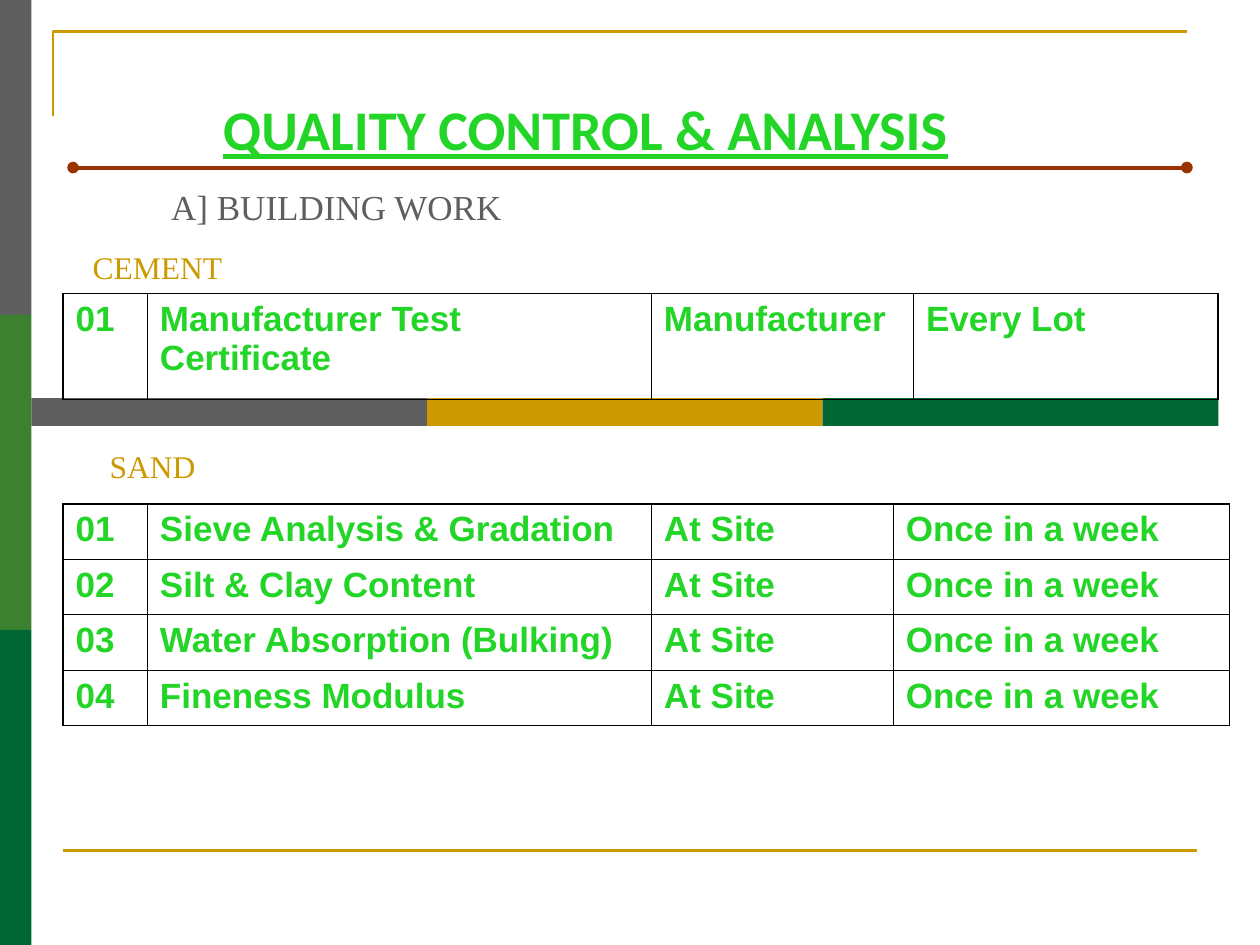
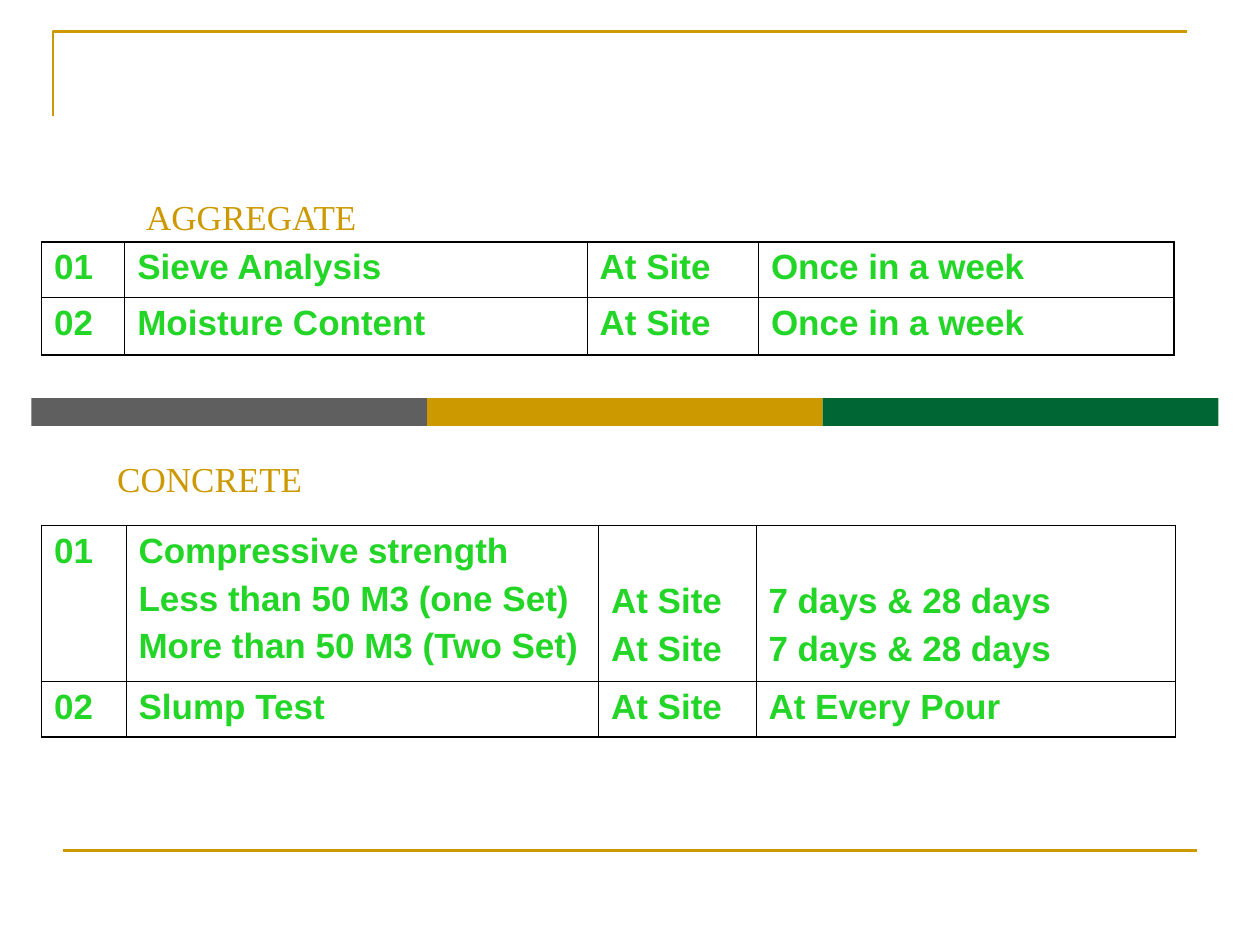
from pptx import Presentation
from pptx.dml.color import RGBColor
from pptx.enum.shapes import MSO_CONNECTOR, MSO_SHAPE
from pptx.enum.text import MSO_ANCHOR, PP_ALIGN
from pptx.oxml import parse_xml
from pptx.oxml.ns import nsdecls, qn
from pptx.util import Inches, Pt

RECTANGLE = MSO_SHAPE.RECTANGLE
STRAIGHT = MSO_CONNECTOR.STRAIGHT
TOP = MSO_ANCHOR.TOP
LEFT, CENTER = PP_ALIGN.LEFT, PP_ALIGN.CENTER

GOLD = "CC9900"
GRAY = "5F5F5F"
DARK_GREEN = "006633"
MID_GREEN = "3B812F"
BRIGHT_GREEN = "23D527"
RUST = "993300"
BLACK = "000000"

SERIF, SANS, TITLE_FONT = "Times New Roman", "Arial", "Calibri"
OUTER_BORDER, INNER_BORDER = 1.08, 0.45
CELL_TOP = 0.05
SKIPPED_LINE = 0.4


def rgb(hex_color):
    return RGBColor.from_string(hex_color)


def style_text(paragraph, font_name, size, color, bold=False, underline=False):
    for run in paragraph.runs:
        font = run.font
        font.name, font.size = font_name, Pt(size)
        font.bold, font.underline = bold, underline
        font.color.rgb = rgb(color)


def add_bar(slide, left, top, width, height, color):
    bar = slide.shapes.add_shape(
        RECTANGLE, Inches(left), Inches(top), Inches(width), Inches(height))
    bar.shadow.inherit = False
    bar.fill.solid()
    bar.fill.fore_color.rgb = rgb(color)
    bar.line.fill.background()


def add_rule(slide, start, end, y, color, weight, oval_ends=False):
    rule = slide.shapes.add_connector(
        STRAIGHT, Inches(start), Inches(y), Inches(end), Inches(y))
    rule.line.color.rgb = rgb(color)
    rule.line.width = Pt(weight)
    properties = rule._element.spPr
    if oval_ends:
        for tag in ("headEnd", "tailEnd"):
            properties.find(qn("a:ln")).append(
                parse_xml(f'<a:{tag} {nsdecls("a")} type="oval"/>'))
    properties.append(parse_xml(f'<a:effectLst {nsdecls("a")}/>'))


def add_corner(slide):
    builder = slide.shapes.build_freeform(Inches(0.42), Inches(0.92))
    builder.add_line_segments(
        [(Inches(0.42), Inches(0.25)), (Inches(9.42), Inches(0.25))], close=False)
    corner = builder.convert_to_shape()
    corner.shadow.inherit = False
    corner.fill.background()
    corner.line.color.rgb = rgb(GOLD)
    corner.line.width = Pt(1.5)


def add_text(slide, text, left, top, width, height, alignment, wrap):
    box = slide.shapes.add_textbox(
        Inches(left), Inches(top), Inches(width), Inches(height))
    frame = box.text_frame
    frame.word_wrap = wrap
    frame.vertical_anchor = TOP
    frame.text = text
    paragraph = frame.paragraphs[0]
    paragraph.alignment = alignment
    return paragraph


def add_title(slide, text):
    title = add_text(slide, text, 1.67, 0.33, 6.58, 0.75, LEFT, True)
    title.line_spacing = 1.7
    title.space_before = Pt(8)
    style_text(title, TITLE_FONT, 32, BRIGHT_GREEN, bold=True, underline=True)


def add_heading(slide, text, left, top, width, size, color=GOLD):
    heading = add_text(slide, text, left, top, width, 0.25, CENTER, False)
    style_text(heading, SERIF, size, color)


def set_borders(cell, weights):
    properties = cell._tc.get_or_add_tcPr()
    for position, (side, weight) in enumerate(weights.items()):
        properties.insert(position, parse_xml(
            f'<a:ln{side} {nsdecls("a")} w="{Pt(weight)}">'
            f'<a:solidFill><a:srgbClr val="{BLACK}"/></a:solidFill></a:ln{side}>'))


def fill_cell(cell, text):
    cell.fill.background()
    cell.vertical_anchor = TOP
    cell.text_frame.text = text
    for paragraph in cell.text_frame.paragraphs:
        paragraph.space_before = Pt(5)
        style_text(paragraph, SANS, 20, BRIGHT_GREEN, bold=True)


def add_test_table(slide, left, top, widths, heights, tests):
    table = slide.shapes.add_table(
        len(heights), len(widths), Inches(left), Inches(top),
        Inches(sum(widths)), Inches(sum(heights))).table
    table.first_row = table.horz_banding = False
    for column, width in zip(table.columns, widths):
        column.width = Inches(width)
    for row, height in zip(table.rows, heights):
        row.height = Inches(height)
    last_row, last_column = len(heights) - 1, len(widths) - 1
    for r, test in enumerate(tests):
        for c, text in enumerate((f"{r + 1:02}", *test)):
            cell = table.cell(r, c)
            fill_cell(cell, text)
            on_edge = {"L": c == 0, "R": c == last_column,
                       "T": r == 0, "B": r == last_row}
            set_borders(cell, {side: OUTER_BORDER if outer else INNER_BORDER
                               for side, outer in on_edge.items()})
    return table


def add_page(deck):
    slide = deck.slides.add_slide(deck.slide_layouts[6])
    add_corner(slide)
    add_rule(slide, 0.5, 9.5, 6.75, GOLD, 1.5)
    for i, color in enumerate((GRAY, GOLD, DARK_GREEN)):
        add_bar(slide, 0.25 + 3.14 * i, 3.16, 3.14, 0.22, color)
    return slide


def build_cement_and_sand(deck):
    slide = add_page(deck)
    add_title(slide, "QUALITY CONTROL & ANALYSIS")
    for i, color in enumerate((GRAY, MID_GREEN, DARK_GREEN)):
        add_bar(slide, 0, 2.5 * i, 0.25, 2.5, color)
    add_heading(slide, "A] BUILDING WORK", 0.42, 1.42, 4.5, 20, GRAY)
    add_heading(slide, "CEMENT", 0.5, 1.92, 1.5, 18)
    add_test_table(slide, 0.5, 2.33, (0.67, 4, 2.08, 2.42), (0.84,), [
        ("Manufacturer Test Certificate", "Manufacturer", "Every Lot")])
    add_heading(slide, "SAND", 0.5, 3.5, 1.42, 18)
    sand_tests = ("Sieve Analysis & Gradation", "Silt & Clay Content",
                  "Water Absorption (Bulking)", "Fineness Modulus")
    add_test_table(slide, 0.5, 4, (0.67, 4, 1.92, 2.67), (0.44,) * 4, [
        (test, "At Site", "Once in a week") for test in sand_tests])
    add_rule(slide, 0.58, 9.42, 1.33, RUST, 2.24, oval_ends=True)


def build_aggregate_and_concrete(deck):
    slide = add_page(deck)
    add_heading(slide, "AGGREGATE", 0.58, 1.5, 2.83, 20)
    add_test_table(slide, 0.33, 1.92, (0.66, 3.67, 1.36, 3.3), (0.44, 0.46), [
        (test, "At Site", "Once in a week")
        for test in ("Sieve Analysis", "Moisture Content")])
    add_heading(slide, "CONCRETE", 0.58, 3.58, 2.17, 20)
    strength = "\n".join(("Compressive strength", "Less than 50 M3 (one Set)",
                          "More than 50 M3 (Two Set)"))
    concrete = add_test_table(
        slide, 0.33, 4.17, (0.67, 3.75, 1.25, 3.33), (1.24, 0.44), [
            (strength, "At Site\nAt Site", "7 days & 28 days\n7 days & 28 days"),
            ("Slump Test", "At Site", "At Every Pour")])
    for column in (2, 3):
        concrete.cell(0, column).margin_top = Inches(CELL_TOP + SKIPPED_LINE)


def main():
    deck = Presentation()
    deck.slide_width, deck.slide_height = Inches(10), Inches(7.5)
    build_cement_and_sand(deck)
    build_aggregate_and_concrete(deck)
    deck.save("out.pptx")


main()
